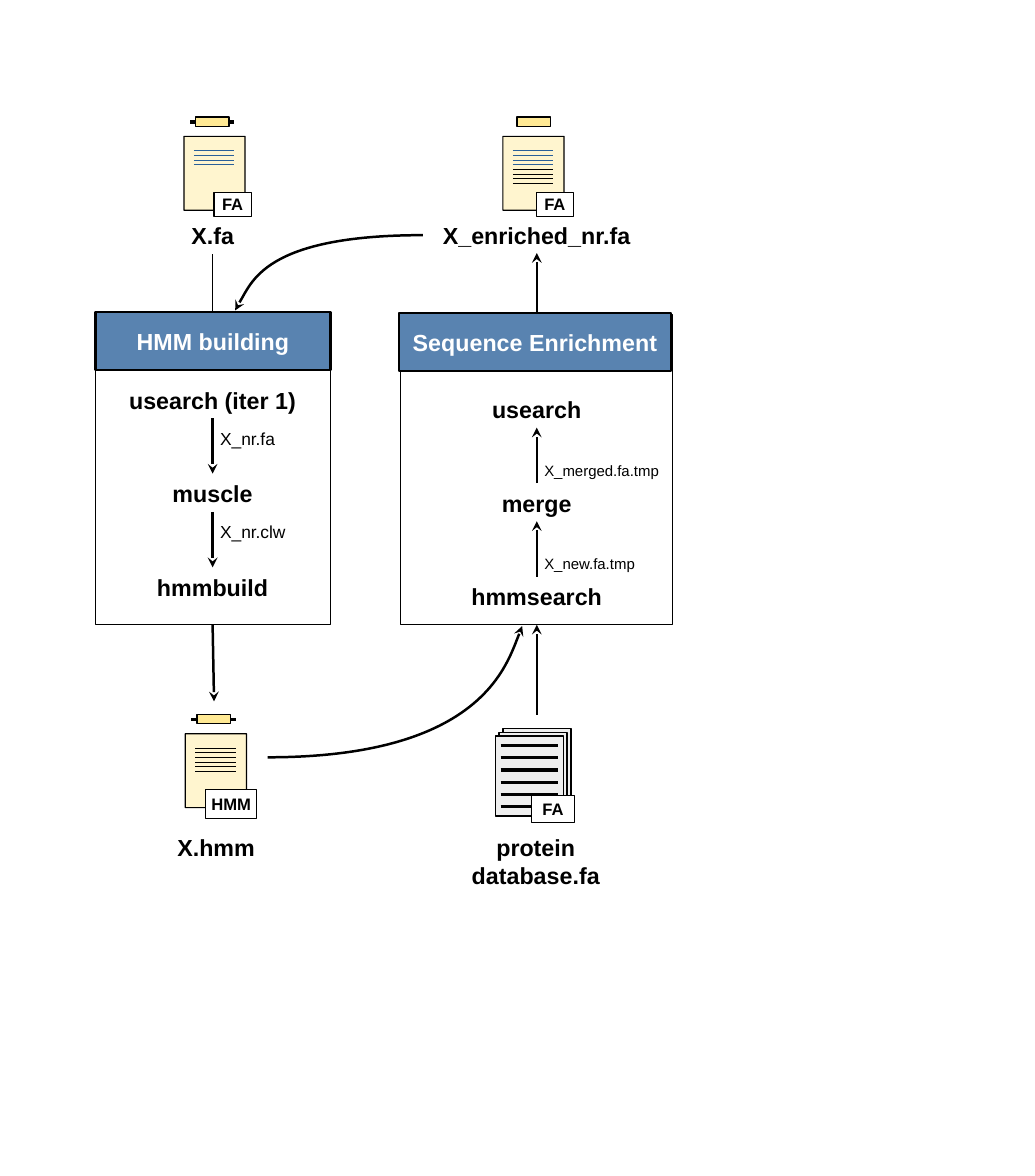
from collections import namedtuple
from dataclasses import dataclass

from lxml import etree
from pptx import Presentation
from pptx import util as u
from pptx.dml import color
from pptx.enum import shapes, text
from pptx.oxml import ns

Box = namedtuple("Box", "x y w h")
Label = namedtuple("Label", "words box")
Line = namedtuple("Line", "x1 y1 x2 y2")
Flow = namedtuple("Flow", "title frame mid top steps notes drop size up")
Sheet = namedtuple("Sheet", "x y blue black pin wire tag name")


@dataclass(frozen=True)
class Theme:
    font: str = "Arial"
    ink: str = "000000"
    white: str = "FFFFFF"
    blue: str = "5983B0"
    gene: str = "2A6099"
    cream: str = "FFF5CE"
    gold: str = "FFE994"
    grey: str = "EEEEEE"
    head: float = 14
    tag: float = 10
    note: float = 10.5
    small: float = 9
    hair: float = 0
    thin: float = 0.5
    frame: float = 0.79
    page: float = 1
    bold: float = 1.5


THEME = Theme()
PITCH = 1.99
STEP = 0.81
FLOWS = (
    Flow(Label("HMM building", Box(2.03, 6.63, 5, 1.24)), Box(2.03, 6.68, 5, 6.6),
         4.52, 8.08, ("usearch (iter 1)", "muscle", "hmmbuild"),
         ("X_nr.fa", "X_nr.clw"), 0.89, THEME.note, False),
    Flow(Label("Sequence Enrichment", Box(8.48, 6.65, 5.79, 1.24)), Box(8.51, 6.68, 5.79, 6.6),
         11.41, 8.28, ("usearch", "merge", "hmmsearch"),
         ("X_merged.fa.tmp", "X_new.fa.tmp"), 1.4, THEME.small, True),
)
SHEETS = (
    Sheet(3.91, 2.9, 4, 0, 0.25, True, Label("FA", Box(4.55, 4.09, 0.79, 0.51)),
          Label("X.fa", Box(3.23, 4.57, 2.59, 0.82))),
    Sheet(3.94, 15.6, 0, 6, 0.25, True, Label("HMM", Box(4.37, 16.79, 1.09, 0.61)),
          Label("X.hmm", Box(3.3, 17.58, 2.59, 0.82))),
    Sheet(10.69, 2.9, 4, 4, 0.3, False, Label("FA", Box(11.4, 4.09, 0.79, 0.51)),
          Label("X_enriched_nr.fa", Box(8.92, 4.57, 4.98, 0.82))),
)
STORE = Label("protein\vdatabase.fa", Box(9.09, 17.6, 4.6, 1.37))
STORE_TAG = Label("FA", Box(11.3, 16.92, 0.91, 0.56))
LINKS = (Line(11.41, 6.68, 11.41, 5.38), Line(11.41, 15.19, 11.41, 13.28),
         Line(4.52, 13.28, 4.55, 14.91))
CURVES = (
    ((5.69, 16.1), (10.31, 16.1), (11.1, 13.31), (11.1, 13.31)),
    ((8.99, 5), (5.59, 5), (5, 6.6), (5, 6.6)),
)


def ink(line, tone: str, width: float, arrow: bool = False) -> None:
    line.color.rgb = color.RGBColor.from_string(tone)
    line.width = u.Pt(width)
    if arrow:
        etree.SubElement(line._get_or_add_ln(), ns.qn("a:tailEnd"), type="stealth")


def write(frame, words: str, size: float, tone: str = THEME.ink, bold: bool = True,
          align=text.PP_ALIGN.CENTER) -> None:
    frame.text = words
    frame.vertical_anchor = text.MSO_ANCHOR.MIDDLE
    for para in frame.paragraphs:
        para.alignment = align
        for run in para.runs:
            run.font.name = THEME.font
            run.font.size = u.Pt(size)
            run.font.bold = bold
            run.font.color.rgb = color.RGBColor.from_string(tone)


def draw_box(slide, box: Box, fill: str | None, width: float,
             kind=shapes.MSO_SHAPE.RECTANGLE):
    shape = slide.shapes.add_shape(kind, *map(u.Cm, box))
    shape.shadow.inherit = False
    if fill:
        shape.fill.solid()
        shape.fill.fore_color.rgb = color.RGBColor.from_string(fill)
    else:
        shape.fill.background()
    ink(shape.line, THEME.ink, width)
    return shape


def draw_text(slide, label: Label, size: float = THEME.head, bold: bool = True,
              align=text.PP_ALIGN.CENTER) -> None:
    frame = slide.shapes.add_textbox(*map(u.Cm, label.box)).text_frame
    frame.word_wrap = True
    write(frame, label.words, size, bold=bold, align=align)
    frame.vertical_anchor = text.MSO_ANCHOR.TOP


def draw_tag(slide, tag: Label) -> None:
    frame = draw_box(slide, tag.box, THEME.white, THEME.hair).text_frame
    frame.word_wrap = False
    write(frame, tag.words, THEME.tag)


def draw_line(slide, line: Line, width: float, tone: str = THEME.ink,
              arrow: bool = False) -> None:
    link = slide.shapes.add_connector(shapes.MSO_CONNECTOR.STRAIGHT, *map(u.Cm, line))
    ink(link.line, tone, width, arrow)
    etree.SubElement(link._element.spPr, ns.qn("a:effectLst"))


def draw_curve(slide, dots: tuple[tuple[float, float], ...]) -> None:
    first, *rest = [(u.Cm(x), u.Cm(y)) for x, y in dots]
    pen = slide.shapes.build_freeform(*first)
    pen.add_line_segments(rest, close=False)
    shape = pen.convert_to_shape()
    track = next(shape._element.iter(ns.qn("a:path")))
    parts = track.findall(ns.qn("a:lnTo"))
    bend = etree.SubElement(track, ns.qn("a:cubicBezTo"))
    for part in parts:
        bend.append(part.find(ns.qn("a:pt")))
        track.remove(part)
    shape.shadow.inherit = False
    shape.fill.background()
    ink(shape.line, THEME.ink, THEME.bold, True)


def draw_flow(slide, flow: Flow) -> None:
    draw_box(slide, flow.frame, None, THEME.frame)
    for i, step in enumerate(flow.steps):
        draw_text(slide, Label(step, Box(flow.mid - 2.3, flow.top + i * PITCH, 4.6, STEP)))
    for i, note in enumerate(flow.notes):
        top = flow.top + i * PITCH
        ends = (top + STEP, top + PITCH)
        start, stop = reversed(ends) if flow.up else ends
        draw_line(slide, Line(flow.mid, start, flow.mid, stop), THEME.bold, arrow=True)
        draw_text(slide, Label(note, Box(flow.mid - 0.09, top + flow.drop, 3.1, 0.6)),
                  flow.size, False, text.PP_ALIGN.LEFT)
    head = draw_box(slide, flow.title.box, THEME.blue, THEME.bold)
    write(head.text_frame, flow.title.words, THEME.head, THEME.white)


def draw_sheet(slide, sheet: Sheet) -> None:
    x, y = sheet.x, sheet.y
    leaf = draw_box(slide, Box(x, y, 1.3, 1.57), THEME.cream, THEME.hair,
                    shapes.MSO_SHAPE.FOLDED_CORNER)
    tint = next(leaf._element.spPr.iter(ns.qn("a:srgbClr")))
    etree.SubElement(tint, ns.qn("a:alpha"), val="97000")
    for i in range(sheet.blue + sheet.black):
        row = y + 0.3 + i * 0.1
        tone = THEME.gene if i < sheet.blue else THEME.ink
        draw_line(slide, Line(x + 0.21, row, x + 1.07, row), THEME.thin, tone)
    if sheet.wire:
        draw_line(slide, Line(x + 0.13, y - 0.31, x + 1.07, y - 0.31), THEME.hair)
    draw_box(slide, Box(x + sheet.pin, y - 0.41, 0.71, 0.2), THEME.gold, THEME.hair)
    draw_tag(slide, sheet.tag)
    draw_text(slide, sheet.name)


def draw_store(slide) -> None:
    for i in range(3):
        draw_box(slide, Box(10.69 - i * 0.08, 15.49 + i * 0.08, 1.45, 1.7), THEME.grey, THEME.page)
    for i in range(6):
        row = 15.85 + i * 0.26
        draw_line(slide, Line(10.64, row, 11.86, row), THEME.hair)
    draw_tag(slide, STORE_TAG)
    draw_text(slide, STORE)


def main() -> None:
    deck = Presentation()
    deck.slide_width, deck.slide_height = u.Cm(22), u.Cm(25)
    slide = deck.slides.add_slide(deck.slide_layouts[6])
    draw_line(slide, Line(4.52, 5.41, 4.52, 6.78), THEME.thin)
    for flow in FLOWS:
        draw_flow(slide, flow)
    for sheet in SHEETS:
        draw_sheet(slide, sheet)
    for link in LINKS:
        draw_line(slide, link, THEME.bold, arrow=True)
    for curve in CURVES:
        draw_curve(slide, curve)
    draw_store(slide)
    deck.save("out.pptx")


if __name__ == "__main__":
    main()
